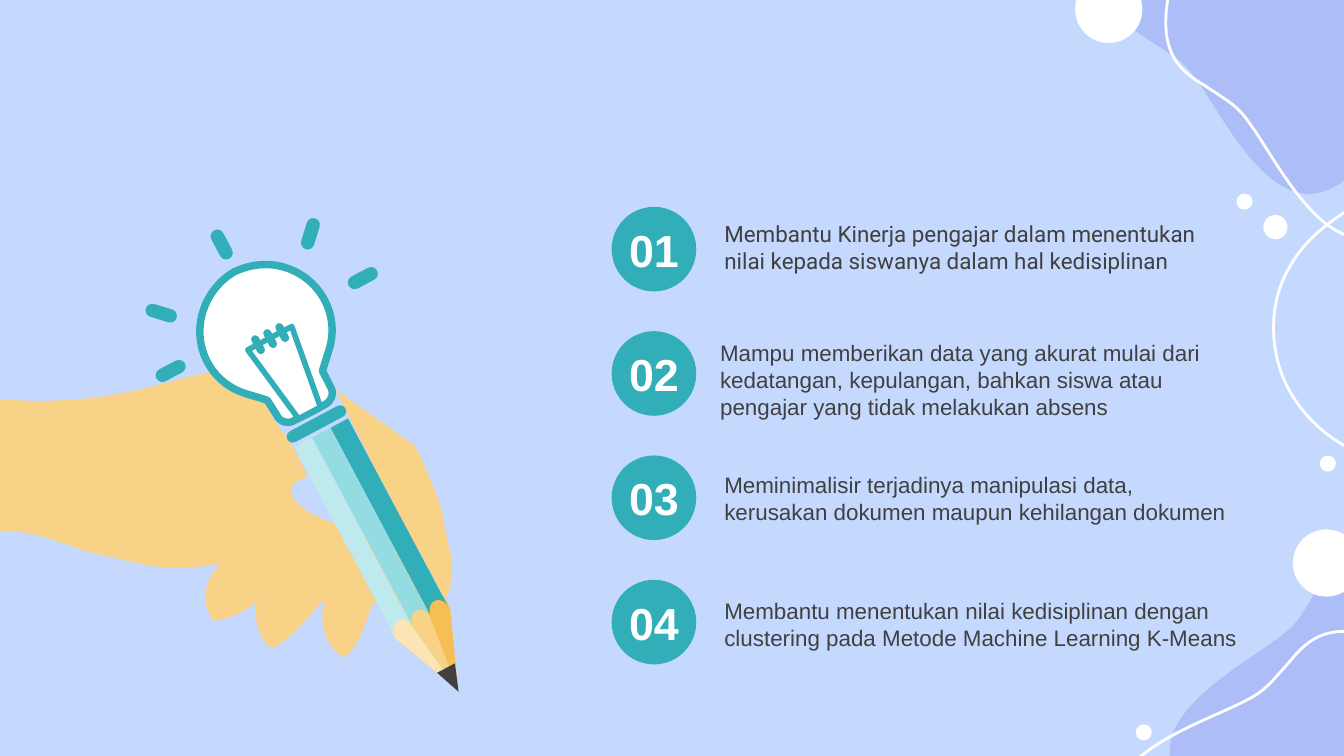
import math

from pptx import Presentation
from pptx import util as u
from pptx.dml.color import RGBColor
from pptx.enum import shapes, text
from pptx.oxml import ns

SKY = RGBColor(0xC5, 0xD9, 0xFF)
LILAC = RGBColor(0xAD, 0xBD, 0xF8)
WHITE = RGBColor(0xFF, 0xFF, 0xFF)
TEAL = RGBColor(0x32, 0xAE, 0xB8)
TEAL_MID = RGBColor(0x92, 0xDC, 0xE2)
TEAL_PALE = RGBColor(0xBE, 0xEA, 0xED)
SKIN = RGBColor(0xF8, 0xD2, 0x86)
WOOD_DARK = RGBColor(0xF6, 0xBF, 0x56)
WOOD_PALE = RGBColor(0xFB, 0xE4, 0xB6)
INK = RGBColor(0x40, 0x40, 0x40)

GRID = u.Cm(0.0254)
MSO = shapes.MSO_SHAPE

BLOB = """M 18 124 C 37 137 59 137 83 107 140 37 85 -46 57 -70 53 -74 49 -77 45 -79
    -13 -118 -92 -106 -103 -46 -109 -9 -97 5 -80 16 -75 19 -69 23 -63 27
    -55 32 -48 38 -42 47 -28 66 -8 106 18 124"""
LOOP = """M 507 415 C 463 427 411 411 403 361 400 347 387 340 375 343 328 354 278 329 257 286
    244 259 244 224 260 198 271 178 290 164 310 152 338 136 367 124 398 115
    412 112 426 109 440 106 482 99 529 99 564 124 583 137 598 156 605 178
    607 184 608 190 609 196 614 225 607 255 591 280 585 288 578 297 575 307
    571 324 577 341 570 358 564 375 552 391 537 401 528 408 518 412 507 415"""
HAND = """M 250 290 L 309 332 C 317 348 325 367 329 381 331 395 334 405 336 416
    337 426 336 439 331 446 326 439 322 426 306 401 293 375 264 320 250 290
    M 156 277 C 167 295 190 296 199 301 200 310 213 324 217 331 222 340 225 346 229 355
    222 357 216 360 217 366 219 390 293 395 318 426 331 436 324 454 314 455
    300 455 295 451 277 449 271 469 265 482 257 489 250 488 236 474 241 446
    231 457 216 478 202 482 191 474 189 459 191 448 183 454 171 461 159 462
    146 443 156 429 164 419 128 427 106 420 76 413 53 409 31 394 -2 395
    L 0 297 C 83 304 131 280 156 277"""
BULB = """M 175 202 C 186 197 199 195 212 199 238 207 253 234 245 260 L 240 276 246 288
    C 249 293 247 298 242 301 L 231 307 219 313 C 214 316 208 314 206 309
    L 199 298 C 194 296 189 295 183 293 157 285 143 258 151 232 155 219 164 208 175 202"""
STRIPE = "M 219 333 L 232 326 306 465 C 303 461 299 460 296 462 293 463 292 468 293 472"
WOOD = [
    (WOOD_DARK, "M 289 465 L 330 443 335 453 341 514 294 475"),
    (SKIN, "M 302 457 L 316 450 319 457 341 514 307 467"),
    (WOOD_PALE, "M 289 465 L 302 458 C 304 460 305 462 306 465 L 340 513 294 475"),
]
ROWS = [
    ("Membantu Kinerja pengajar dalam menentukan nilai kepada siswanya dalam hal kedisiplinan",
     "Roboto", 1.88, 0.13, 1.27),
    ("Mampu memberikan data yang akurat mulai dari kedatangan, kepulangan, bahkan siswa atau "
     "pengajar yang tidak melakukan absens", "Arial", 1.8, 0.03, 1.8),
    ("Meminimalisir terjadinya manipulasi data, kerusakan dokumen maupun kehilangan dokumen",
     "Arial", 1.88, 0.18, 1.27),
    ("Membantu menentukan nilai kedisiplinan dengan clustering pada Metode Machine Learning K-Means",
     "Arial", 1.88, 0.2, 1.27),
]


def trace(path):
    """Split a path of M, L and C commands into contours and its line and curve modes."""
    contours, modes, nums, mode = [], [], [], "M"
    for token in path.split():
        if token.isalpha():
            mode = token
            continue
        nums.append(float(token))
        if len(nums) < (6 if mode == "C" else 2):
            continue
        pts, nums = list(zip(nums[::2], nums[1::2])), []
        if mode == "M":
            contours.append(pts)
        else:
            contours[-1] += pts
            modes.append(mode)
    return contours, modes


def bend(sp, modes):
    """Join each three segments of a curve command into one Bézier curve."""
    segments = iter(list(sp._element.iter(ns.qn("a:lnTo"))))
    for mode in modes:
        curve = next(segments)
        if mode == "C":
            curve.tag = ns.qn("a:cubicBezTo")
            for segment in (next(segments), next(segments)):
                curve.append(segment[0])
                segment.getparent().remove(segment)


def paint(sp, fill=None, line=None, width=1.5):
    """Set the fill and line of a shape and drop its shadow."""
    sp.shadow.inherit = False
    for part, color in ((sp.fill, fill), (sp.line.fill, line)):
        if color is None:
            part.background()
        else:
            part.solid()
            part.fore_color.rgb = color
    if line is not None:
        sp.line.width = u.Pt(width)


def outline(tree, left, top, path, dx=0, dy=0, angle=0, **style):
    """Draw a path, turned about its origin and moved by grid units."""
    c, n = math.cos(math.radians(angle)), math.sin(math.radians(angle))
    contours, modes = trace(path)
    contours = [[(left + GRID * (dx + x * c - y * n), top + GRID * (dy + x * n + y * c))
                 for x, y in contour] for contour in contours]
    builder = tree.build_freeform(*contours[0][0], scale=1.0)
    for i, contour in enumerate(contours):
        if i:
            builder.move_to(*contour[0])
        builder.add_line_segments(contour[1:], close=True)
    sp = builder.convert_to_shape()
    bend(sp, modes)
    paint(sp, **style)


def preset(tree, left, top, kind, x, y, w, h, angle=0, **style):
    """Draw a preset shape centred on a grid point."""
    sp = tree.add_shape(kind, int(left + GRID * (x - w / 2)), int(top + GRID * (y - h / 2)),
                        int(GRID * w), int(GRID * h))
    sp.rotation = angle
    if kind == MSO.ROUNDED_RECTANGLE:
        sp.adjustments[0] = 0.5
    paint(sp, **style)


def decoration(s, left, top):
    """Draw the blobs, waves and dots along the right side."""
    tree = s.shapes
    for dx, dy, angle, style in ((232, 12, 0, {"fill": LILAC}), (272, 45, 0, {"line": WHITE}),
                                 (301, 514, 88.1, {"fill": LILAC}),
                                 (267, 570, 98.4, {"line": WHITE})):
        outline(tree, left, top, BLOB, dx, dy, angle, **style)
    outline(tree, left, top, LOOP, line=WHITE)
    for x, y, d in ((249, 169, 18), (226, 150, 12), (125, 7, 50),
                    (288, 345, 12), (151, 545, 12), (287, 419, 50)):
        preset(tree, left, top, MSO.OVAL, x, y, d, d, fill=WHITE)


def illustration(s, left, top):
    """Draw the hand holding a pencil with a light bulb."""
    outline(s.shapes, left, top, HAND, fill=SKIN)
    tree = s.shapes.add_group_shape().shapes
    for color, path in WOOD:
        outline(tree, left, top, path, fill=color)
    for i, color in enumerate((TEAL_PALE, TEAL_MID, TEAL)):
        outline(tree, left, top, STRIPE, 13.5 * i, -7.3 * i, fill=color)
    preset(tree, left, top, MSO.ISOSCELES_TRIANGLE, 336.5, 506, 15, 20, 152, fill=INK)
    outline(tree, left, top, BULB, fill=WHITE, line=TEAL, width=4)
    preset(tree, left, top, MSO.TRAPEZOID, 215.5, 279.5, 37, 63, 152,
           fill=WHITE, line=TEAL, width=3)
    rays = [(231, 174, 10, 24, 17), (120, 233, 10, 24, 287), (165, 182, 10, 24, 332),
            (270, 207, 10, 24, 62), (127, 276, 10, 24, 242)]
    collar = [(235.5, 315.5, 49, 9, 332)]
    coils = [(192 + 9 * i, 256.5 - 4.5 * i, 6, 15, 332) for i in range(3)]
    for bar in rays + collar + coils:
        preset(tree, left, top, MSO.ROUNDED_RECTANGLE, *bar, fill=TEAL)


def write(sp, content, font, size, color, bold=False):
    """Fill a shape with one formatted paragraph."""
    tf = sp.text_frame
    tf.text = content
    tf.word_wrap = True
    r = tf.paragraphs[0].runs[0]
    r.font.name, r.font.size, r.font.bold = font, u.Pt(size), bold
    r.font.color.rgb = color
    return tf


def numbered_list(s, left, top, pitch):
    """Place the numbered circles and their statements."""
    for i, (content, font, dx, dy, height) in enumerate(ROWS):
        y = top + i * pitch
        sp = s.shapes.add_shape(MSO.OVAL, left, y, u.Cm(1.6), u.Cm(1.6))
        paint(sp, fill=TEAL)
        tf = write(sp, f"{i + 1:02}", "Arial", 24, WHITE, True)
        tf.margin_left = tf.margin_right = tf.margin_top = tf.margin_bottom = 0
        tf.vertical_anchor = text.MSO_ANCHOR.MIDDLE
        tf.paragraphs[0].alignment = text.PP_ALIGN.CENTER
        sp = s.shapes.add_textbox(left + u.Cm(dx), y + u.Cm(dy), u.Cm(10.21), u.Cm(height))
        write(sp, content, font, 12, INK).auto_size = text.MSO_AUTO_SIZE.SHAPE_TO_FIT_TEXT


def main():
    """Build the slide and save it."""
    prs = Presentation()
    prs.slide_width, prs.slide_height = u.Cm(25.4), u.Cm(14.29)
    s = prs.slides.add_slide(prs.slide_layouts[6])
    s.background.fill.solid()
    s.background.fill.fore_color.rgb = SKY
    decoration(s, u.Cm(17.78), u.Cm(0))
    illustration(s, u.Cm(0), u.Cm(0))
    numbered_list(s, u.Cm(11.56), u.Cm(3.91), u.Cm(2.35))
    prs.save("out.pptx")


if __name__ == "__main__":
    main()
